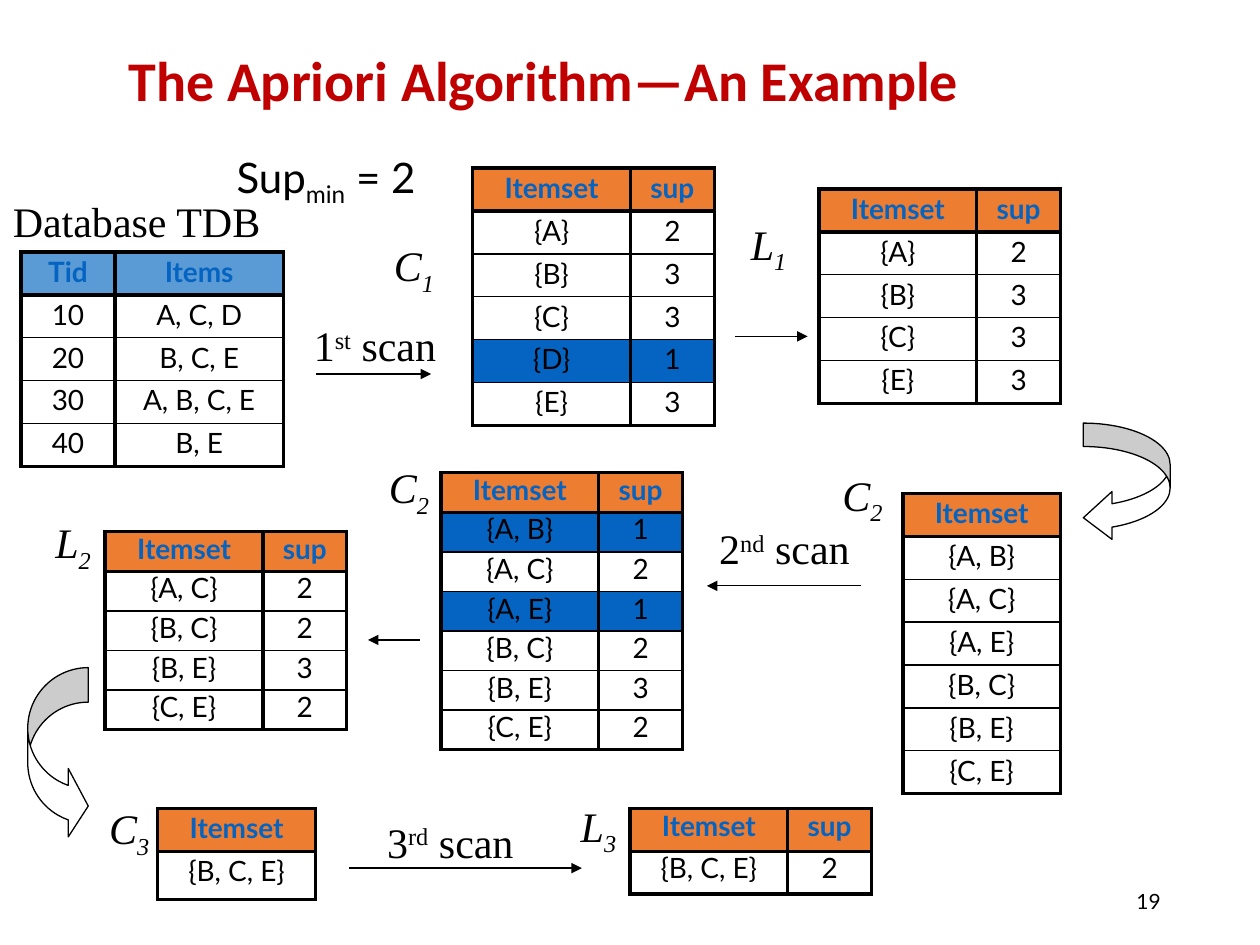
import lxml.etree
import pptx
import pptx.dml.color
import pptx.enum.shapes
import pptx.enum.text
import pptx.oxml.ns
import pptx.util

Cm = pptx.util.Cm
Pt = pptx.util.Pt
qn = pptx.oxml.ns.qn
ALIGN = pptx.enum.text.PP_ALIGN
ANCHOR = pptx.enum.text.MSO_ANCHOR
SHAPE = pptx.enum.shapes.MSO_SHAPE

COLORS = {
    "title": "C00000",
    "ink": "000000",
    "paper": "FFFFFF",
    "heading": "0563C1",
    "pruned": "0563C1",
    "database": "5B9BD5",
    "itemset": "ED7D31",
}
ITEMSET_WIDTH, SUP_WIDTH = 3.18, 1.69
ROW, TIGHT_ROW = 0.86, 0.79
THICK, THIN = 2.25, 1


def rgb(name):
    return pptx.dml.color.RGBColor.from_string(COLORS[name])


def write_text(frame, text, font="Lato", size=16, color="ink", bold=False,
               italic=False, align=ALIGN.CENTER, spacing=None, baseline=0):
    paragraph = frame.paragraphs[0]
    paragraph.alignment = align
    if spacing:
        paragraph.line_spacing = spacing
    for position, part in enumerate(text.split("|")):
        run = paragraph.add_run()
        run.text = part
        run.font.name = font
        run.font.size = Pt(size)
        run.font.bold = bold
        run.font.italic = italic
        run.font.color.rgb = rgb(color)
        if position % 2:
            run.font._element.set("baseline", str(baseline * 1000))


def add_text(slide, text, left, top, width, height=1.27, wrap=True,
             anchor=ANCHOR.MIDDLE, **text_format):
    frame = slide.shapes.add_textbox(Cm(left), Cm(top), Cm(width), Cm(height)).text_frame
    frame.word_wrap = wrap
    frame.vertical_anchor = anchor
    write_text(frame, text, **text_format)


def add_label(slide, text, left, top, width, **text_format):
    add_text(slide, text, left, top, width, wrap=False,
             font="Times New Roman", size=24, **text_format)


def add_arrow(slide, start, end, y):
    arrow = slide.shapes.add_connector(
        pptx.enum.shapes.MSO_CONNECTOR.STRAIGHT, Cm(start), Cm(y), Cm(end), Cm(y))
    arrow.line.color.rgb = rgb("ink")
    arrow.line.width = Pt(0.75)
    lxml.etree.SubElement(arrow.line._get_or_add_ln(), qn("a:tailEnd"), type="triangle")
    lxml.etree.SubElement(arrow._element.spPr, qn("a:effectLst"))


def add_curved_arrow(slide, kind, left, top, width, height, adjustments):
    arrow = slide.shapes.add_shape(kind, Cm(left), Cm(top), Cm(width), Cm(height))
    arrow.shadow.inherit = False
    arrow.fill.solid()
    arrow.fill.fore_color.rgb = rgb("paper")
    arrow.line.color.rgb = rgb("ink")
    arrow.line.width = Pt(0.75)
    for index, value in enumerate(adjustments):
        arrow.adjustments[index] = value


def set_borders(cell, top, bottom):
    properties = cell._tc.get_or_add_tcPr()
    edges = (("L", THICK), ("R", THICK), ("T", top), ("B", bottom))
    for index, (side, width) in enumerate(edges):
        line = lxml.etree.Element(qn(f"a:ln{side}"), w=str(int(Pt(width))))
        fill = lxml.etree.SubElement(line, qn("a:solidFill"))
        lxml.etree.SubElement(fill, qn("a:srgbClr"), val=COLORS["ink"])
        properties.insert(index, line)


def add_grid(slide, left, top, rows, widths=(ITEMSET_WIDTH, SUP_WIDTH), row_height=ROW,
             spacing=0.9, heading_fill="itemset", pruned=()):
    table = slide.shapes.add_table(
        len(rows), len(widths), Cm(left), Cm(top),
        Cm(sum(widths)), Cm(row_height * len(rows))).table
    table.first_row = False
    table.horz_banding = False
    for column, width in zip(table.columns, widths):
        column.width = Cm(width)
    last = len(rows) - 1
    for r, row in enumerate(rows):
        table.rows[r].height = Cm(row_height)
        fill = heading_fill if r == 0 else "pruned" if row[0] in pruned else None
        for c, value in enumerate(row):
            cell = table.cell(r, c)
            if fill:
                cell.fill.solid()
                cell.fill.fore_color.rgb = rgb(fill)
            else:
                cell.fill.background()
            set_borders(cell, THICK if r < 2 else THIN, THICK if r in (0, last) else THIN)
            write_text(cell.text_frame, value, bold=r == 0, spacing=spacing,
                       color="ink" if r else "heading")
    return table


def counted(**supports):
    return [("Itemset", "sup")] + [
        ("{" + ", ".join(items) + "}", str(sup)) for items, sup in supports.items()]


def candidates(*itemsets):
    return [("Itemset",)] + [("{" + ", ".join(items) + "}",) for items in itemsets]


def add_tables(slide):
    database = [("Tid", "Items"), ("10", "A, C, D"), ("20", "B, C, E"),
                ("30", "A, B, C, E"), ("40", "B, E")]
    add_grid(slide, 0.42, 5.08, database, widths=(1.9, 3.39), heading_fill="database")
    add_grid(slide, 9.53, 3.39, counted(A=2, B=3, C=3, D=1, E=3), pruned=("{D}",))
    add_grid(slide, 16.51, 3.81, counted(A=2, B=3, C=3, E=3))
    add_grid(slide, 18.2, 9.95, candidates("AB", "AC", "AE", "BC", "BE", "CE"),
             widths=(ITEMSET_WIDTH,))
    add_grid(slide, 8.89, 9.53, counted(AB=1, AC=2, AE=1, BC=2, BE=3, CE=2),
             row_height=TIGHT_ROW, spacing=0.8, pruned=("{A, B}", "{A, E}"))
    add_grid(slide, 2.12, 10.72, counted(AC=2, BC=2, BE=3, CE=2),
             row_height=TIGHT_ROW, spacing=0.8)
    third_candidates = add_grid(slide, 3.18, 16.3, candidates("BCE"), widths=(ITEMSET_WIDTH,))
    third_candidates.rows[1].height = Cm(0.97)
    add_grid(slide, 12.7, 16.3, counted(BCE=2), spacing=0.8)


def main():
    deck = pptx.Presentation()
    deck.slide_width, deck.slide_height = Cm(25.4), Cm(19.05)
    slide = deck.slides.add_slide(deck.slide_layouts[6])

    add_text(slide, "The Apriori Algorithm—An Example", 2.34, 0.84, 21.64, 1.7,
             font="Calibri", size=32, color="title", bold=True, align=ALIGN.LEFT, spacing=0.9)
    add_text(slide, "19", 17.93, 17.65, 5.72, 1.02, size=12, align=ALIGN.RIGHT)
    add_text(slide, "Sup|min| = 2", 4.52, 2.92, 4.88, anchor=ANCHOR.TOP,
             size=24, align=ALIGN.LEFT, baseline=-25)
    add_label(slide, "Database TDB", 0, 3.81, 5.51)

    for scan, left, top, width in (("1|st| scan", 6.05, 6.32, 3.02),
                                   ("2|nd| scan", 14.2, 10.41, 3.23),
                                   ("3|rd| scan", 7.52, 16.33, 3.12)):
        add_label(slide, scan, left, top, width, baseline=30)
    for name, left, top in (("C|1", 7.67, 4.78), ("L|1", 14.86, 4.34),
                            ("C|2", 16.71, 9.4), ("C|2", 7.57, 9.25), ("L|2", 0.84, 10.36),
                            ("C|3", 1.93, 16.13), ("L|3", 11.43, 16.08)):
        add_label(slide, name, left, top, 1.35 if name[0] == "C" else 1.27,
                  italic=True, baseline=-25)

    for start, end, y in ((6.38, 8.69, 7.54), (14.81, 16.28, 6.78), (17.35, 14.25, 11.81),
                          (8.46, 7.42, 12.9), (7.04, 11.73, 17.5)):
        add_arrow(slide, start, end, y)
    add_curved_arrow(slide, SHAPE.CURVED_LEFT_ARROW, 21.84, 8.53, 1.75, 2.39,
                     (0.27, 0.55, 0.33))
    add_curved_arrow(slide, SHAPE.CURVED_RIGHT_ARROW, 0.56, 13.46, 1.22, 3.48,
                     (0.57, 1.13, 0.33))
    add_tables(slide)
    deck.save("out.pptx")


if __name__ == "__main__":
    main()
